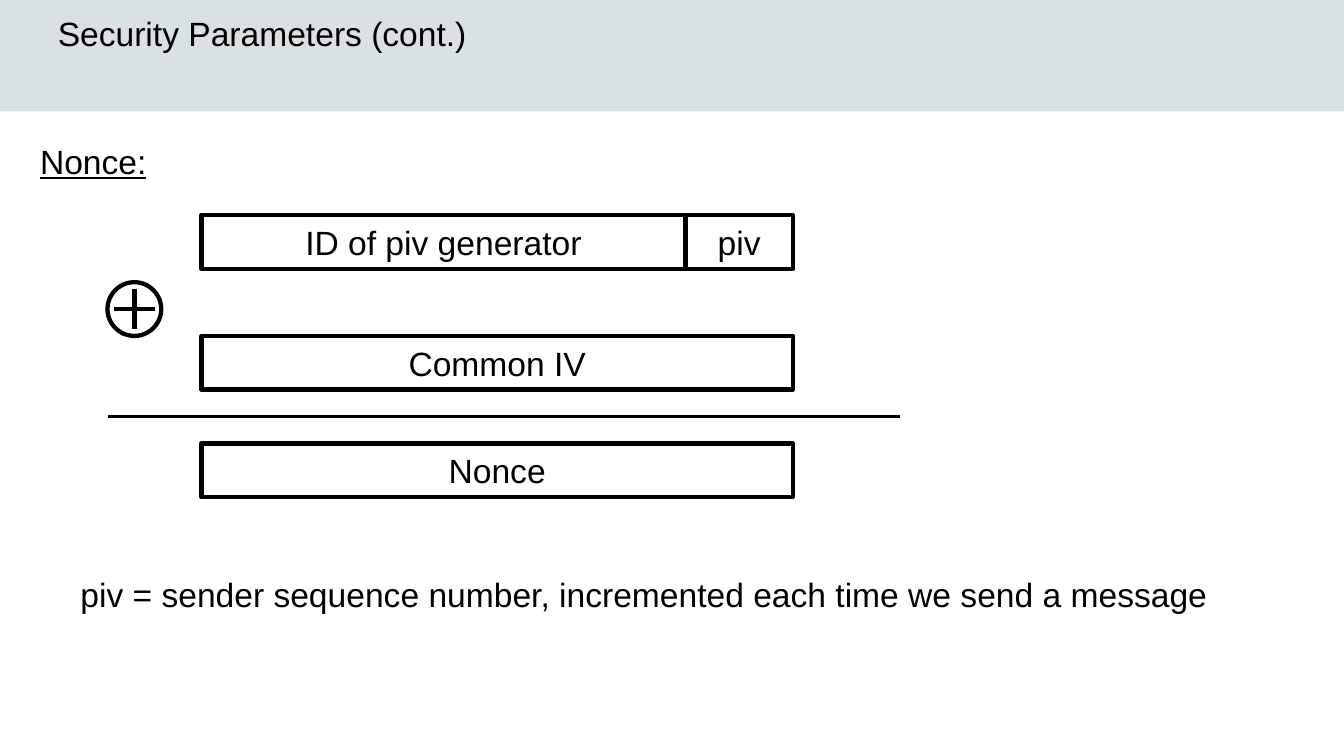
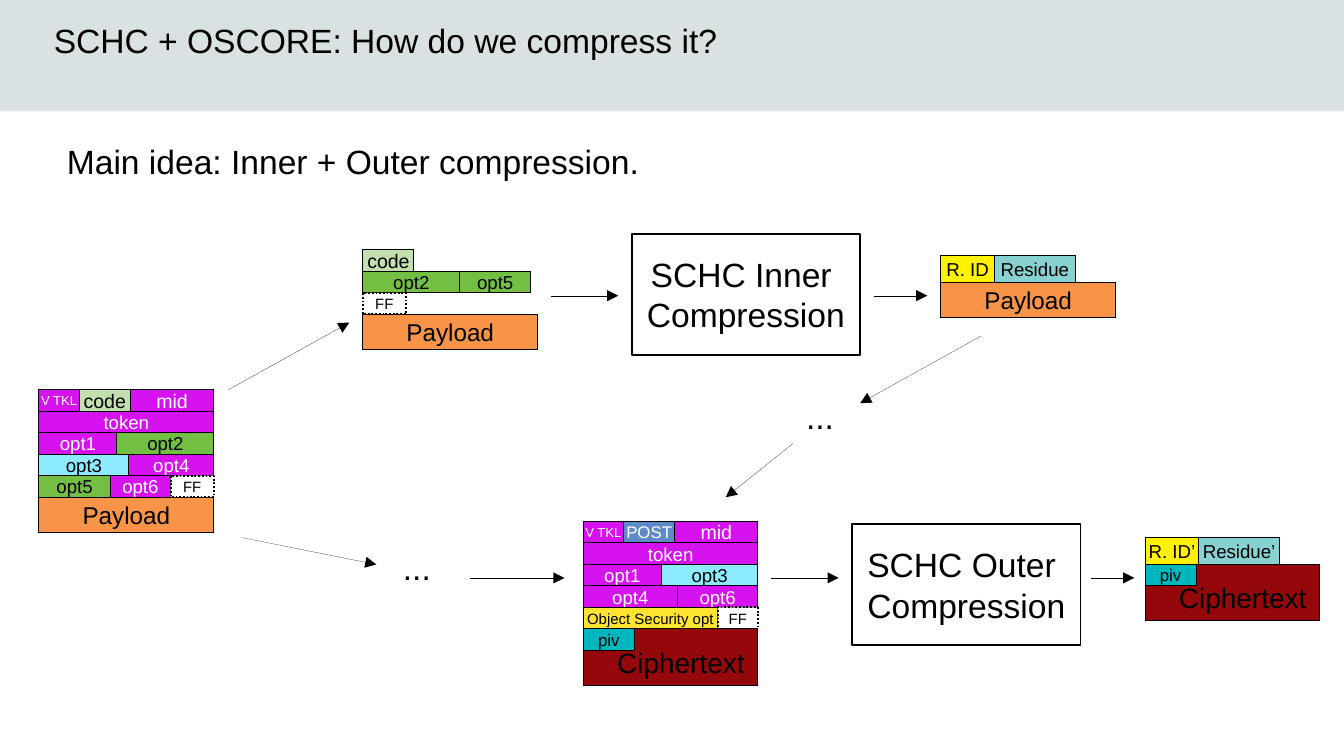
from collections import namedtuple

from lxml.etree import SubElement
from pptx import Presentation
from pptx.dml.color import RGBColor
from pptx.enum.dml import MSO_LINE
from pptx.enum.shapes import MSO_CONNECTOR, MSO_SHAPE
from pptx.enum.text import MSO_ANCHOR, MSO_AUTO_SIZE, PP_ALIGN
from pptx.oxml.ns import qn
from pptx.util import Inches, Pt

FONT = "Arial"
HEX = {
    "black": "000000", "white": "FFFFFF", "band": "D9E1E2",
    "pink": "D612F0", "green": "72BF44", "pale": "C2E0AE",
    "sky": "8CEBFF", "orange": "F79448", "blue": "5E8AC7",
    "gold": "FCE431", "yellow": "FFF200", "aqua": "87D1D1",
    "teal": "00B6BD", "red": "94070A",
}
ROW = 0.16
WIDE = 1.3
THICK = 2.3

Field = namedtuple("Field", "fill size ink high", defaults=(10, "black", ROW))
FIELDS = {
    "V TKL": Field("pink", 7, "white"),
    "code": Field("pale", 10.5),
    "POST": Field("blue", 9, "white"),
    "mid": Field("pink", 10.5, "white"),
    "token": Field("pink", 10, "white"),
    "opt1": Field("pink", 10, "white"),
    "opt2": Field("green"),
    "opt3": Field("sky"),
    "opt4": Field("pink", 10, "white"),
    "opt5": Field("green"),
    "opt6": Field("pink", 10, "white"),
    "FF": Field("white", 8),
    "Object Security opt": Field("gold", 8),
    "Payload": Field("orange", 13, "black", 0.26),
    "Ciphertext": Field("red", 15, "black", 0.42),
    "piv": Field("teal", 9),
    "R. ID": Field("yellow", 10, "black", 0.2),
    "Residue": Field("aqua", 10, "black", 0.2),
}


def tint(name):
    return RGBColor.from_string(HEX[name])


def write(frame, text, size=18, ink="black", align=PP_ALIGN.LEFT,
          anchor=MSO_ANCHOR.TOP, wrap=True, inset=(0.1, 0.05), under=None):
    frame.text = text
    frame.word_wrap = wrap
    frame.vertical_anchor = anchor
    frame.margin_left = frame.margin_right = Inches(inset[0])
    frame.margin_top = frame.margin_bottom = Inches(inset[1])
    for para in frame.paragraphs:
        para.alignment = align
        for run in para.runs:
            run.font.name = FONT
            run.font.size = Pt(size)
            run.font.underline = under
            run.font.color.rgb = tint(ink)


def place(x, y, w, h):
    return [Inches(n) for n in (x, y, w, h)]


def stroke(item, width):
    """Set a black line; a width of 0 is a hairline, written out in XML."""
    item.line.color.rgb = tint("black")
    edge = item._element.spPr.find(qn("a:ln"))
    edge.set("w", str(int(Pt(width))))
    return edge


def shape(slide, box, fill="white", line=None, kind=MSO_SHAPE.RECTANGLE):
    """Draw a plain shape; a fill or line of None is left out."""
    item = slide.shapes.add_shape(kind, *place(*box))
    item.shadow.inherit = False
    if fill:
        item.fill.solid()
        item.fill.fore_color.rgb = tint(fill)
    else:
        item.fill.background()
    if line is None:
        item.line.fill.background()
    else:
        stroke(item, line)
    return item


def block(slide, box, text, fill="white", line=0, **form):
    item = shape(slide, box, fill, line)
    form = {"align": PP_ALIGN.CENTER, "anchor": MSO_ANCHOR.MIDDLE,
            "wrap": False, **form}
    write(item.text_frame, text, **form)
    return item


def label(slide, box, text, **form):
    frame = slide.shapes.add_textbox(*place(*box)).text_frame
    write(frame, text, **form)
    frame.auto_size = MSO_AUTO_SIZE.SHAPE_TO_FIT_TEXT


def rule(slide, start, end, width=0, arrow=False):
    line = slide.shapes.add_connector(
        MSO_CONNECTOR.STRAIGHT, *place(*start, *end))
    edge = stroke(line, width)
    if arrow:
        SubElement(edge, qn("a:tailEnd"), type="triangle")
    SubElement(line._element.spPr, qn("a:effectLst"))


def start(deck, title, box, **form):
    """Add a slide with the shared band behind its title."""
    slide = deck.slides.add_slide(deck.slide_layouts[5])
    band = shape(slide, (0, 0, 10, 0.83), "band")
    slide.shapes._spTree.insert(2, band._element)
    head = slide.shapes.title
    head.left, head.top, head.width, head.height = place(*box)
    write(head.text_frame, title, **form)
    return slide


def field(slide, x, y, name, wide):
    style = FIELDS[name.rstrip("’")]
    item = block(slide, (x, y, wide, style.high), name, style.fill,
                 size=style.size, ink=style.ink)
    if name == "FF":
        item.line.width = Pt(1)
        item.line.dash_style = MSO_LINE.ROUND_DOT
    elif name == "Ciphertext":
        item.text_frame.vertical_anchor = MSO_ANCHOR.BOTTOM
        item.text_frame.paragraphs[0].alignment = PP_ALIGN.RIGHT
    return style.high


def stack(slide, x, y, *rows):
    """Lay rows of (name, width) fields downwards; return the bottom."""
    for row in rows:
        left = x
        for name, wide in row:
            high = field(slide, left, y, name, wide)
            left += wide
        y += high
    return y


def cipher(slide, x, y):
    field(slide, x, y, "Ciphertext", WIDE)
    field(slide, x, y, "piv", 0.38)


def stage(slide, x, y, name):
    block(slide, (x, y, 1.7, 0.9), f"SCHC {name} \nCompression", line=1,
          inset=(0.11, 0.06))


def xor(slide, x, y, size=0.4):
    mid, arm = size / 2, 0.15
    cx, cy = x + mid, y + mid
    rule(slide, (cx, cy - arm), (cx, cy + arm), THICK)
    rule(slide, (cx - arm, cy), (cx + arm, cy), THICK)
    shape(slide, (x, y, size, size), None, THICK, MSO_SHAPE.OVAL)


def nonce(slide, x, y):
    """Draw the sum that yields the nonce."""
    bars = [
        (0, 0, 3.6, "ID of piv generator"),
        (3.6, 0, 0.8, "piv"),
        (0, 0.9, 4.4, "Common IV"),
        (0, 1.7, 4.4, "Nonce"),
    ]
    for dx, dy, wide, text in bars:
        block(slide, (x + dx, y + dy, wide, 0.4), text, line=THICK,
              inset=(0.11, 0.06))
    xor(slide, x - 0.7, y + 0.5)
    rule(slide, (x - 0.7, y + 1.5), (x + 5.2, y + 1.5), 1.5)


def params(deck):
    slide = start(deck, "Security Parameters (cont.)", (0.43, 0, 7.91, 0.49),
                  anchor=MSO_ANCHOR.MIDDLE, inset=(0, 0))
    label(slide, (0.2, 1, 2.2, 0.38), "Nonce:", under=True)
    nonce(slide, 1.5, 1.6)
    label(slide, (0.5, 4.22, 8.8, 0.38), "piv = sender sequence number, "
          "incremented each time we send a message")


def packets(slide):
    token = [("token", WIDE)]
    load = [("Payload", WIDE)]
    stack(slide, 0.29, 2.9,
          [("V TKL", 0.3), ("code", 0.38), ("mid", 0.62)],
          token,
          [("opt1", 0.58), ("opt2", 0.72)],
          [("opt3", 0.67), ("opt4", 0.63)],
          [("opt5", 0.53), ("opt6", 0.45), ("FF", 0.32)],
          load)
    stack(slide, 2.7, 1.86,
          [("code", 0.38)],
          [("opt2", 0.72), ("opt5", 0.53)],
          [("FF", 0.32)],
          load)
    base = stack(slide, 4.34, 3.88,
                 [("V TKL", 0.3), ("POST", 0.38), ("mid", 0.62)],
                 token,
                 [("opt1", 0.58), ("opt3", 0.72)],
                 [("opt4", 0.7), ("opt6", 0.6)],
                 [("Object Security opt", 1), ("FF", 0.3)])
    cipher(slide, 4.34, base)
    stack(slide, 7, 1.9, [("R. ID", 0.4), ("Residue", 0.6)], load)
    base = stack(slide, 8.52, 4, [("R. ID’", 0.4), ("Residue’", 0.6)])
    cipher(slide, 8.52, base)


def flow(slide):
    """Draw the two stages and the arrows between packets."""
    stage(slide, 4.7, 1.74, "Inner")
    stage(slide, 6.34, 3.9, "Outer")
    for x, y in ((2.9, 4.02), (5.9, 2.9)):
        label(slide, (x, y, 0.5, 0.38), "...")
    arrows = [
        (1.7, 2.9, 2.6, 2.4), (4.1, 2.2, 4.6, 2.2), (6.5, 2.2, 6.9, 2.2),
        (7.3, 2.5, 6.4, 3), (5.9, 3.3, 5.4, 3.7), (1.8, 4, 2.8, 4.2),
        (3.5, 4.3, 4.2, 4.3), (5.74, 4.3, 6.24, 4.3), (8.12, 4.3, 8.44, 4.3),
    ]
    for x, y, right, low in arrows:
        rule(slide, (x, y), (right, low), arrow=True)


def squeeze(deck):
    slide = start(deck, "SCHC + OSCORE: How do we compress it?",
                  (0.3, 0.1, 8.4, 0.94))
    label(slide, (0.4, 1, 6.5, 0.38), "Main idea: Inner + Outer compression.")
    packets(slide)
    flow(slide)


def main():
    deck = Presentation()
    deck.slide_width = Inches(10)
    deck.slide_height = deck.slide_width * 9 // 16
    params(deck)
    squeeze(deck)
    deck.save("out.pptx")


if __name__ == "__main__":
    main()
